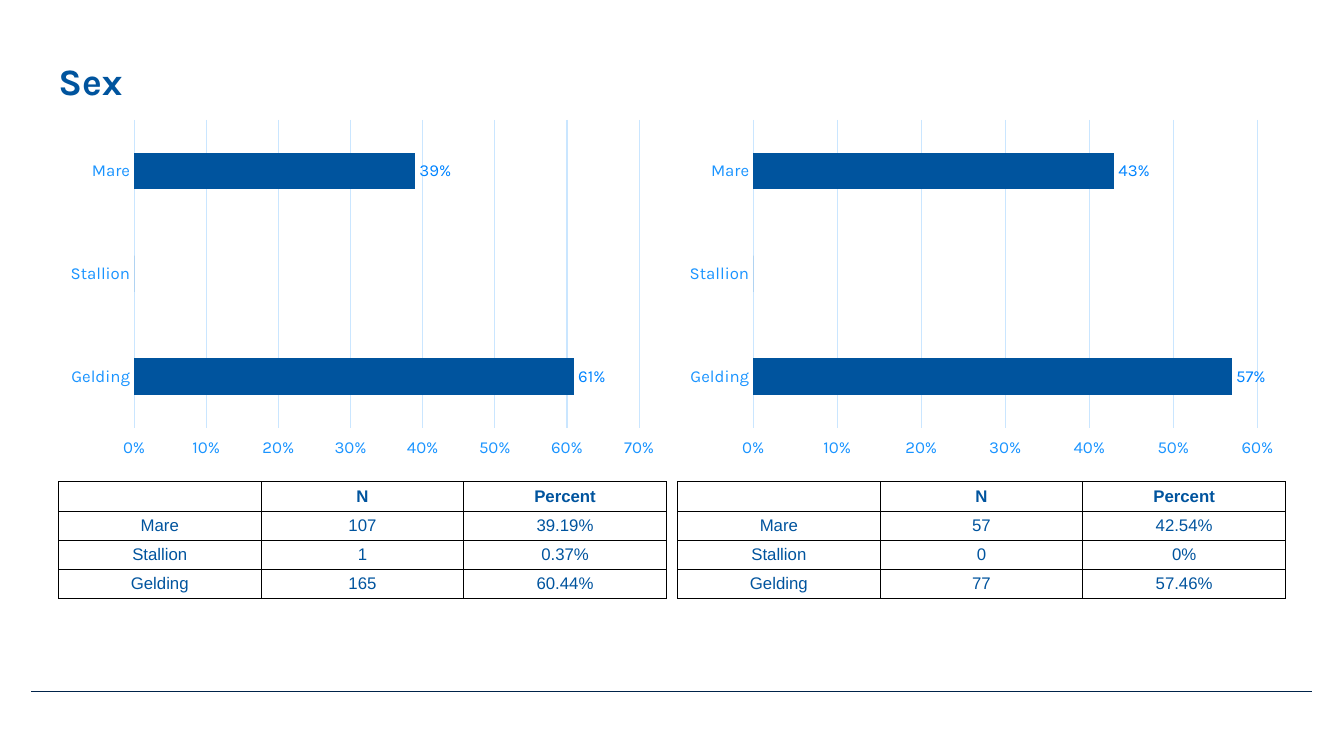
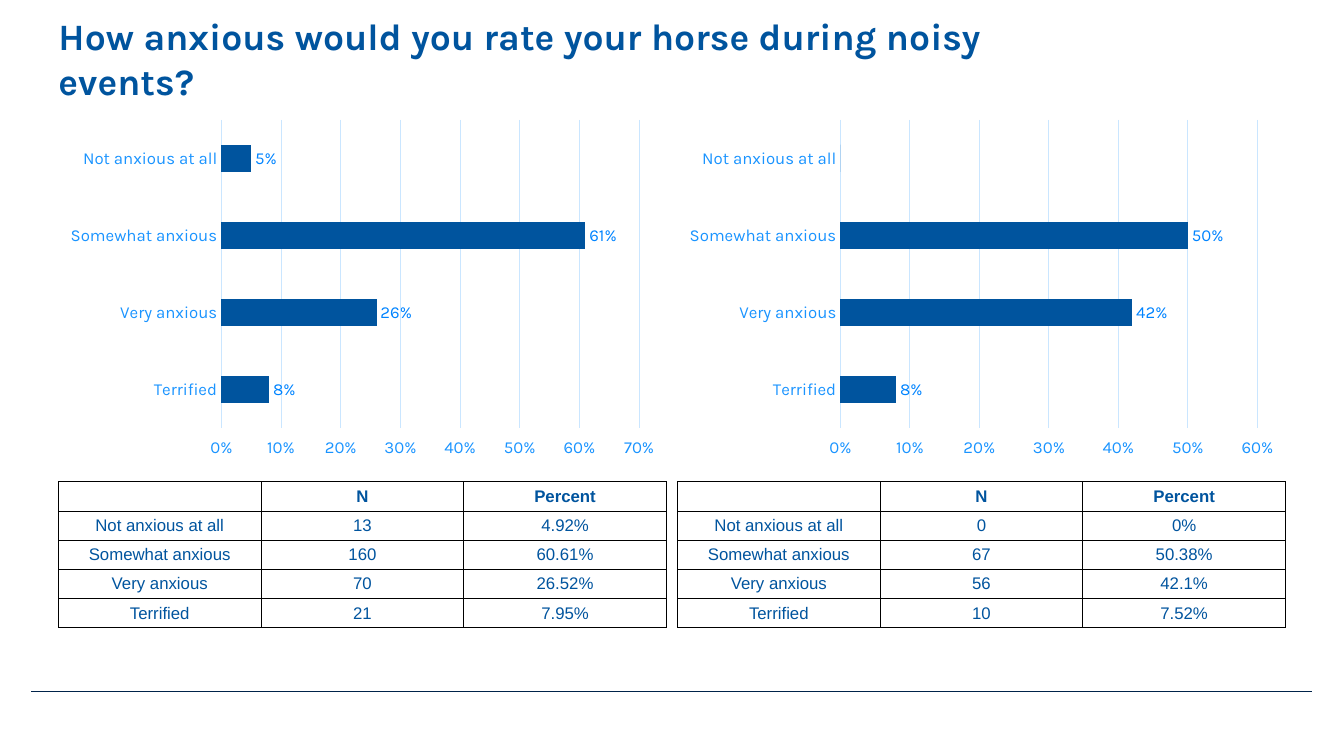
from lxml import etree
from pptx import Presentation
from pptx.chart.data import CategoryChartData
from pptx.dml.color import RGBColor
from pptx.enum.chart import XL_CHART_TYPE as ChartType
from pptx.enum.chart import XL_LABEL_POSITION as LabelPosition
from pptx.enum.chart import XL_TICK_LABEL_POSITION as TickLabelPosition
from pptx.enum.chart import XL_TICK_MARK as TickMark
from pptx.enum.shapes import MSO_CONNECTOR as Connector
from pptx.enum.text import MSO_ANCHOR as Anchor
from pptx.enum.text import MSO_AUTO_SIZE as AutoSize
from pptx.enum.text import PP_ALIGN as Align
from pptx.oxml.ns import qn
from pptx.util import Inches, Pt

# Shared grid, in inches
LEFT_COLUMN, RIGHT_COLUMN = 0.58, 6.72
COLUMN_WIDTH = 6.03
TITLE_BOTTOM, TITLE_LINE = 1.02, 0.45
CHART_TOP, CHART_HEIGHT = 1.12, 3.49
TABLE_TOP, ROW_HEIGHT = 4.78, 0.29


def rgb(value):
    return RGBColor.from_string(value)


class Deck:
    NAVY, RULE, AXIS = "00549E", "00234A", "1A94FF"
    LABEL, GRID, BORDER = "0084FF", "CAE6FF", "000000"
    HEADING_FONT, TABLE_FONT = "Karla", "Arial"

    def __init__(self):
        self.presentation = Presentation()
        self.presentation.slide_width = Inches(13.33)
        self.presentation.slide_height = Inches(7.5)
        self.slide = None

    def style_font(self, font, name, size, color, bold=False):
        font.name, font.size, font.bold = name, Pt(size), bold
        font.color.rgb = rgb(color)

    def style_line(self, line, color, width=0.75):
        line.color.rgb = rgb(color)
        line.width = Pt(width)

    def add_slide(self, title, title_lines=1):
        layout = self.presentation.slide_layouts.get_by_name("Title Only")
        self.slide = self.presentation.slides.add_slide(layout)
        self.add_rule()
        self.add_title(title, title_lines)

    def add_rule(self):
        rule = self.slide.shapes.add_connector(
            Connector.STRAIGHT, Inches(0.31), Inches(6.86), Inches(13.01), Inches(6.86))
        self.style_line(rule.line, self.RULE, 0.5)
        etree.SubElement(rule.element.spPr, qn("a:effectLst"))

    def add_title(self, text, lines):
        shape = self.slide.shapes.title
        height = TITLE_LINE * lines
        shape.left, shape.top = Inches(LEFT_COLUMN), Inches(TITLE_BOTTOM - height)
        shape.width, shape.height = Inches(9.61), Inches(height)
        frame = shape.text_frame
        frame.margin_left = frame.margin_right = frame.margin_top = frame.margin_bottom = 0
        frame.word_wrap = True
        frame.auto_size = AutoSize.NONE
        frame.vertical_anchor = Anchor.BOTTOM
        paragraph = frame.paragraphs[0]
        paragraph.alignment = Align.LEFT
        run = paragraph.add_run()
        run.text = text
        self.style_font(run.font, self.HEADING_FONT, 26.6, self.NAVY, True)

    def add_bar_chart(self, left, categories, values):
        data = CategoryChartData(number_format="0%")
        data.categories = categories
        data.add_series("Series 1", values)
        chart = self.slide.shapes.add_chart(
            ChartType.BAR_CLUSTERED, Inches(left), Inches(CHART_TOP),
            Inches(COLUMN_WIDTH), Inches(CHART_HEIGHT), data).chart
        chart.has_legend = chart.has_title = False
        self.style_font(chart.font, self.HEADING_FONT, 10, self.NAVY)

        # Bars, with labels that stay empty for zero
        plot = chart.plots[0]
        plot.gap_width, plot.vary_by_categories = 182, False
        fill = plot.series[0].format.fill
        fill.solid()
        fill.fore_color.rgb = rgb(self.NAVY)
        plot.has_data_labels = True
        labels = plot.data_labels
        labels.show_value = True
        labels.position = LabelPosition.OUTSIDE_END
        labels.number_format, labels.number_format_is_linked = "0%;;", False
        self.style_font(labels.font, self.HEADING_FONT, 12, self.LABEL)

        # Axes: first category on top, percentages at the bottom
        category_axis, value_axis = chart.category_axis, chart.value_axis
        for axis in (category_axis, value_axis):
            axis.major_tick_mark = axis.minor_tick_mark = TickMark.NONE
            self.style_font(axis.tick_labels.font, self.HEADING_FONT, 12, self.AXIS)
        category_axis.reverse_order = True
        self.style_line(category_axis.format.line, self.GRID)
        value_axis.tick_label_position = TickLabelPosition.HIGH
        value_axis.minimum_scale, value_axis.major_unit = 0, 0.1
        value_axis.maximum_scale = (int(max(values) * 10) + 1) / 10
        value_axis.tick_labels.number_format = "0%"
        value_axis.tick_labels.number_format_is_linked = False
        value_axis.format.line.fill.background()
        value_axis.has_major_gridlines = True
        self.style_line(value_axis.major_gridlines.format.line, self.GRID)

    def add_table(self, left, rows):
        table = self.slide.shapes.add_table(
            len(rows), len(rows[0]), Inches(left), Inches(TABLE_TOP),
            Inches(COLUMN_WIDTH), Inches(ROW_HEIGHT * len(rows))).table
        table.first_row = table.horz_banding = False
        for row_index, row in enumerate(rows):
            table.rows[row_index].height = Inches(ROW_HEIGHT)
            for column_index, text in enumerate(row):
                self.fill_cell(table.cell(row_index, column_index), text, row_index == 0)

    def fill_cell(self, cell, text, bold):
        cell.margin_top = cell.margin_bottom = Inches(0.03)
        cell.vertical_anchor = Anchor.MIDDLE
        paragraph = cell.text_frame.paragraphs[0]
        paragraph.alignment = Align.CENTER
        self.style_font(paragraph.font, self.TABLE_FONT, 12, self.NAVY, bold)
        if text:
            run = paragraph.add_run()
            run.text = text
            self.style_font(run.font, self.TABLE_FONT, 12, self.NAVY, bold)
        # Borders come before the fill in the cell properties
        properties = cell._tc.get_or_add_tcPr()
        for side in ("lnL", "lnR", "lnT", "lnB"):
            border = etree.SubElement(properties, qn(f"a:{side}"), w=str(Pt(0.75)))
            solid = etree.SubElement(border, qn("a:solidFill"))
            etree.SubElement(solid, qn("a:srgbClr"), val=self.BORDER)
        cell.fill.background()

    def add_survey_column(self, left, categories, shares, counts, percents):
        self.add_bar_chart(left, categories, shares)
        rows = [("", "N", "Percent"), *zip(categories, counts, percents)]
        self.add_table(left, rows)


def main():
    deck = Deck()

    # Sex of the horses
    sexes = ["Mare", "Stallion", "Gelding"]
    deck.add_slide("Sex")
    deck.add_survey_column(LEFT_COLUMN, sexes, [0.39, 0, 0.61],
                           ["107", "1", "165"], ["39.19%", "0.37%", "60.44%"])
    deck.add_survey_column(RIGHT_COLUMN, sexes, [0.43, 0, 0.57],
                           ["57", "0", "77"], ["42.54%", "0%", "57.46%"])

    # Anxiety ratings
    ratings = ["Not anxious at all", "Somewhat anxious", "Very anxious", "Terrified"]
    deck.add_slide("How anxious would you rate your horse during noisy events?", 2)
    deck.add_survey_column(LEFT_COLUMN, ratings, [0.05, 0.61, 0.26, 0.08],
                           ["13", "160", "70", "21"],
                           ["4.92%", "60.61%", "26.52%", "7.95%"])
    deck.add_survey_column(RIGHT_COLUMN, ratings, [0, 0.5, 0.42, 0.08],
                           ["0", "67", "56", "10"],
                           ["0%", "50.38%", "42.1%", "7.52%"])

    deck.presentation.save("out.pptx")


if __name__ == "__main__":
    main()
